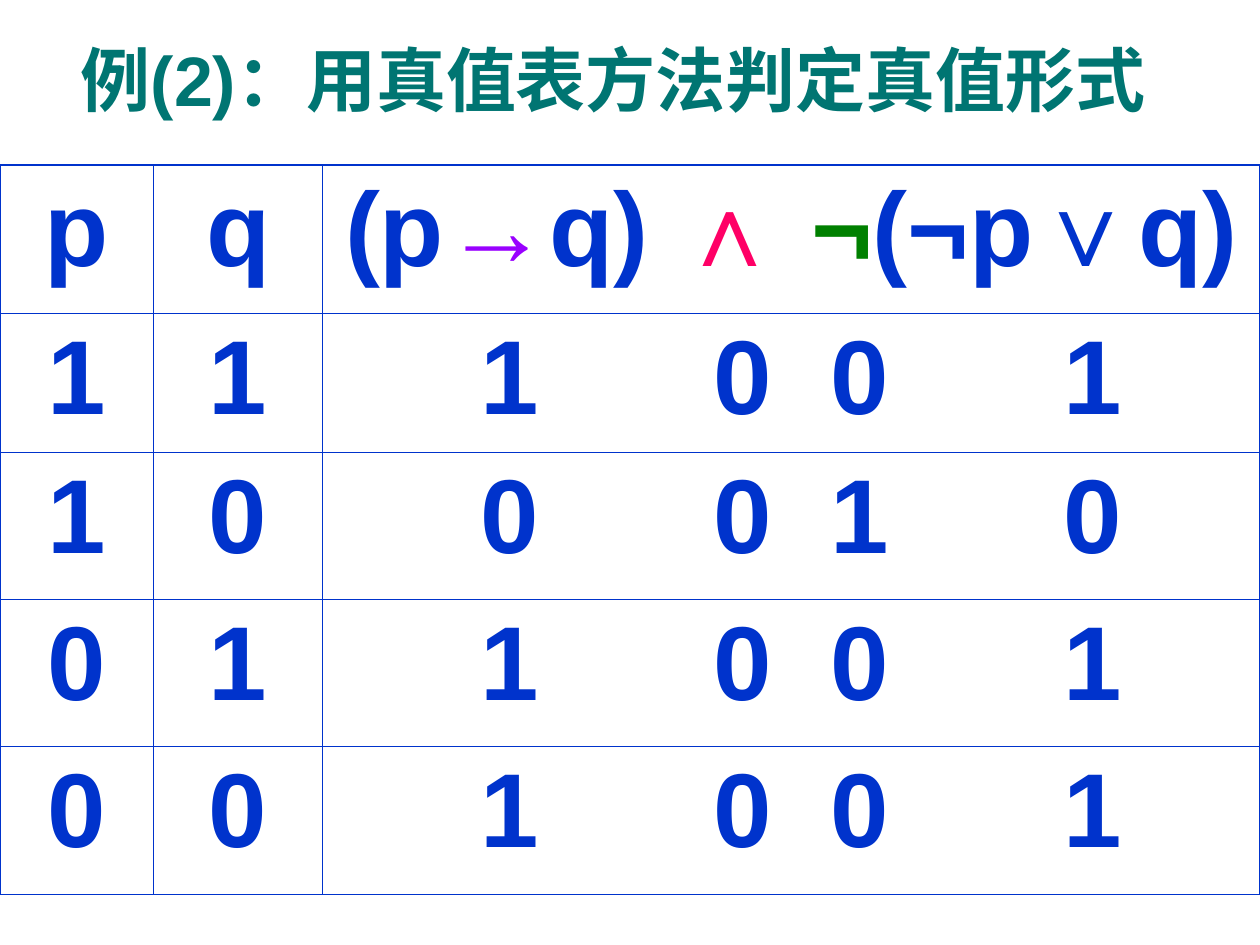
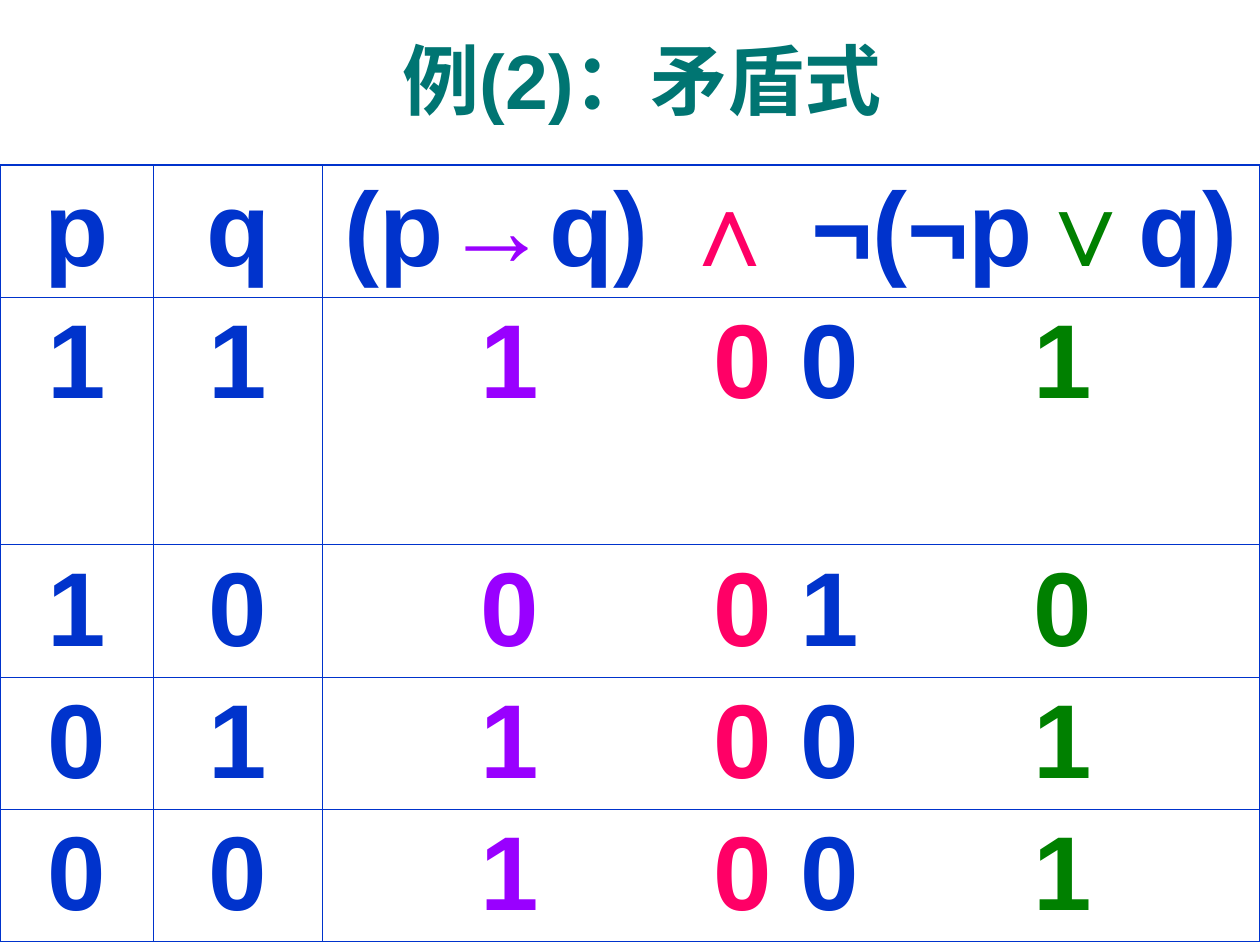
from lxml import etree
from pptx import Presentation
from pptx import util as u
from pptx.dml.color import RGBColor
from pptx.enum import lang, text
from pptx.oxml import ns

COLORS = {"title": "007572", "plain": "0033CC", "implies": "9900FF",
          "and": "FF0066", "accent": "008000"}
FONT = "Arial"
VALUE_SIZE = 60
SPACE = 0.587  # width in cm of one space at VALUE_SIZE
COLUMN_WIDTHS = (3.1, 3.4, 18.9)
TABLE_TOP = 3.33
OUTER_LINE, INNER_LINE = 1.08, 0.45

# p, q, then the values of →, ∧, ¬ and ∨
TRUTH_ROWS = ("111001", "100010", "011001", "001001")
FORMULA_START = [("(p", "plain"), ("→", "implies"), ("q) ", "plain"), ("∧ ", "and")]


def add_run(para, words, color, size):
    span = para.add_run()
    span.text = words
    font = span.font
    font.name, font.size, font.bold = FONT, u.Pt(size), True
    font.color.rgb = RGBColor.from_string(COLORS[color])
    font.language_id = lang.MSO_LANGUAGE_ID.SIMPLIFIED_CHINESE


def add_title(slide, words, width, size):
    box = slide.shapes.add_textbox(u.Cm(0.5), 0, u.Cm(width), u.Cm(3.18))
    frame = box.text_frame
    frame.word_wrap = True
    frame.vertical_anchor = text.MSO_ANCHOR.MIDDLE
    para = frame.paragraphs[0]
    para.alignment = text.PP_ALIGN.CENTER
    add_run(para, words, "title", size)


def add_tab_stops(para, stops):
    """Put left tab stops at distances counted in spaces."""
    tabs = etree.SubElement(para._p.get_or_add_pPr(), ns.qn("a:tabLst"))
    for stop in stops:
        etree.SubElement(tabs, ns.qn("a:tab"), pos=str(u.Cm(stop * SPACE)), algn="l")


def set_borders(cell, widths):
    """Draw the left, right, top and bottom lines of a cell, in that order."""
    properties = cell._tc.get_or_add_tcPr()
    for index, (side, width) in enumerate(zip("LRTB", widths)):
        line = etree.Element(ns.qn(f"a:ln{side}"), w=str(u.Pt(width)))
        fill = etree.SubElement(line, ns.qn("a:solidFill"))
        etree.SubElement(fill, ns.qn("a:srgbClr"), val=COLORS["plain"])
        properties.insert(index, line)


def fill_cell(cell, runs, stops=()):
    """Write coloured runs, centred unless tab stops place them."""
    para = cell.text_frame.paragraphs[0]
    if stops:
        add_tab_stops(para, stops)
    else:
        para.alignment = text.PP_ALIGN.CENTER
    for words, color in runs:
        add_run(para, words, color, VALUE_SIZE)


def add_grid(slide, row_heights):
    rows, columns = len(row_heights), len(COLUMN_WIDTHS)
    table = slide.shapes.add_table(
        rows, columns, 0, u.Cm(TABLE_TOP),
        u.Cm(sum(COLUMN_WIDTHS)), u.Cm(sum(row_heights))).table
    table.first_row = table.horz_banding = False
    for column, width in zip(table.columns, COLUMN_WIDTHS):
        column.width = u.Cm(width)
    for r, height in enumerate(row_heights):
        table.rows[r].height = u.Cm(height)
        for c in range(columns):
            cell = table.cell(r, c)
            cell.margin_bottom = 0
            cell.fill.background()
            edges = (c == 0, c == columns - 1, r == 0, r == rows - 1)
            set_borders(cell, [OUTER_LINE if edge else INNER_LINE for edge in edges])
    return table


def add_truth_table(slide, row_heights, formula_end, value_colors, stops):
    table = add_grid(slide, row_heights)
    header = [[("p", "plain")], [("q", "plain")], FORMULA_START + formula_end]
    for c, runs in enumerate(header):
        fill_cell(table.cell(0, c), runs)
    for r, (p, q, *values) in enumerate(TRUTH_ROWS, start=1):
        fill_cell(table.cell(r, 0), [(p, "plain")])
        fill_cell(table.cell(r, 1), [(q, "plain")])
        runs = [("\t" + value, color) for value, color in zip(values, value_colors)]
        fill_cell(table.cell(r, 2), runs, stops)


def main():
    deck = Presentation()
    deck.slide_width, deck.slide_height = u.Cm(25.4), u.Cm(19.05)
    blank = deck.slide_layouts[6]

    method = deck.slides.add_slide(blank)
    add_title(method, "例(2)：用真值表方法判定真值形式", 23.72, 40)
    add_truth_table(method, (2.98, 2.8, 2.97, 2.97, 2.98),
                    [("¬", "accent"), ("(¬p∨q)", "plain")],
                    ["plain"] * 4, (5, 13, 17, 25))

    contradiction = deck.slides.add_slide(blank)
    add_title(contradiction, "例(2)：矛盾式", 24.9, 44)
    add_truth_table(contradiction, (2.63, 4.98, 2.63, 2.63, 2.63),
                    [("¬(¬p", "plain"), ("∨", "accent"), ("q)", "plain")],
                    ["implies", "and", "plain", "accent"], (5, 13, 16, 24))

    deck.save("out.pptx")


if __name__ == "__main__":
    main()
